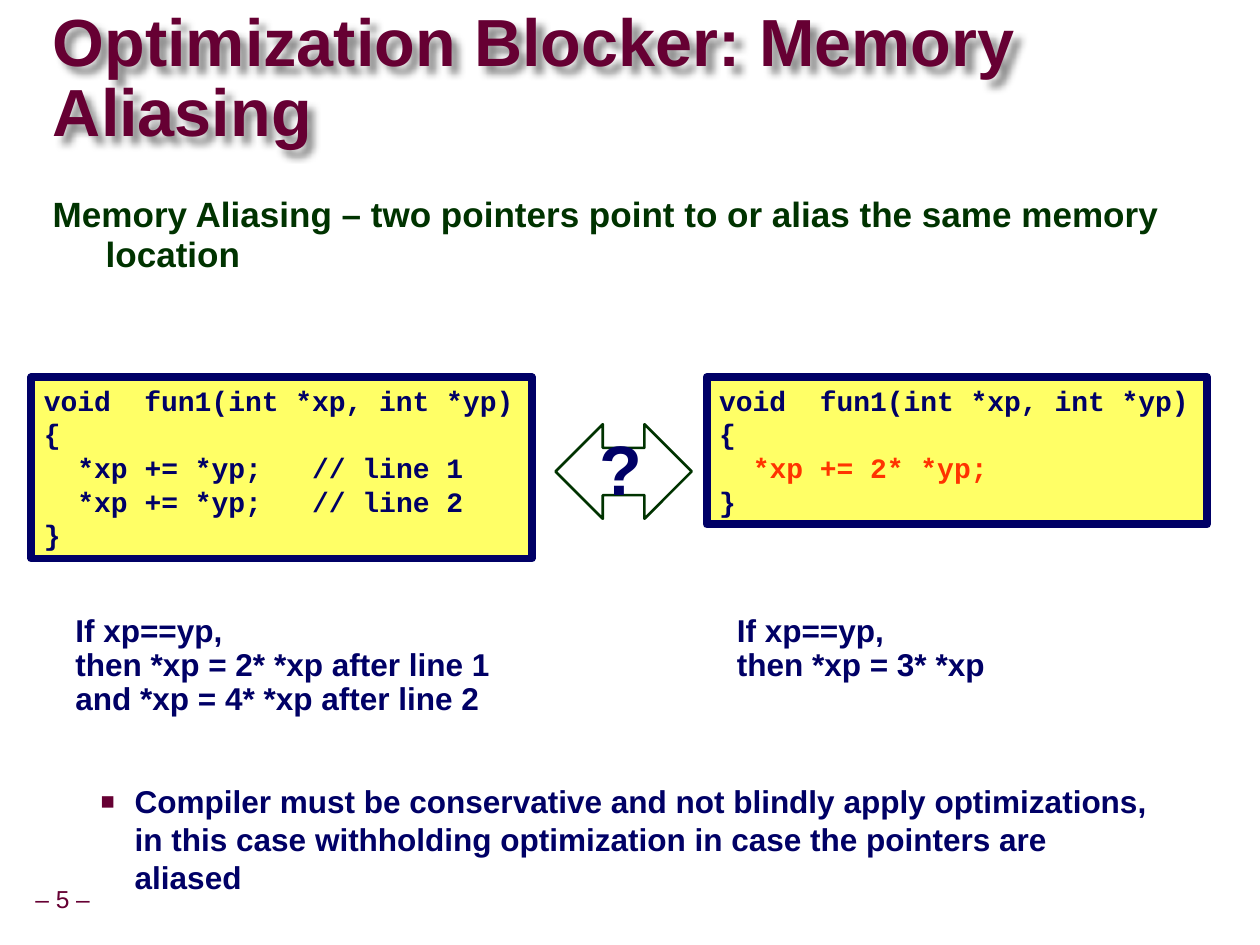
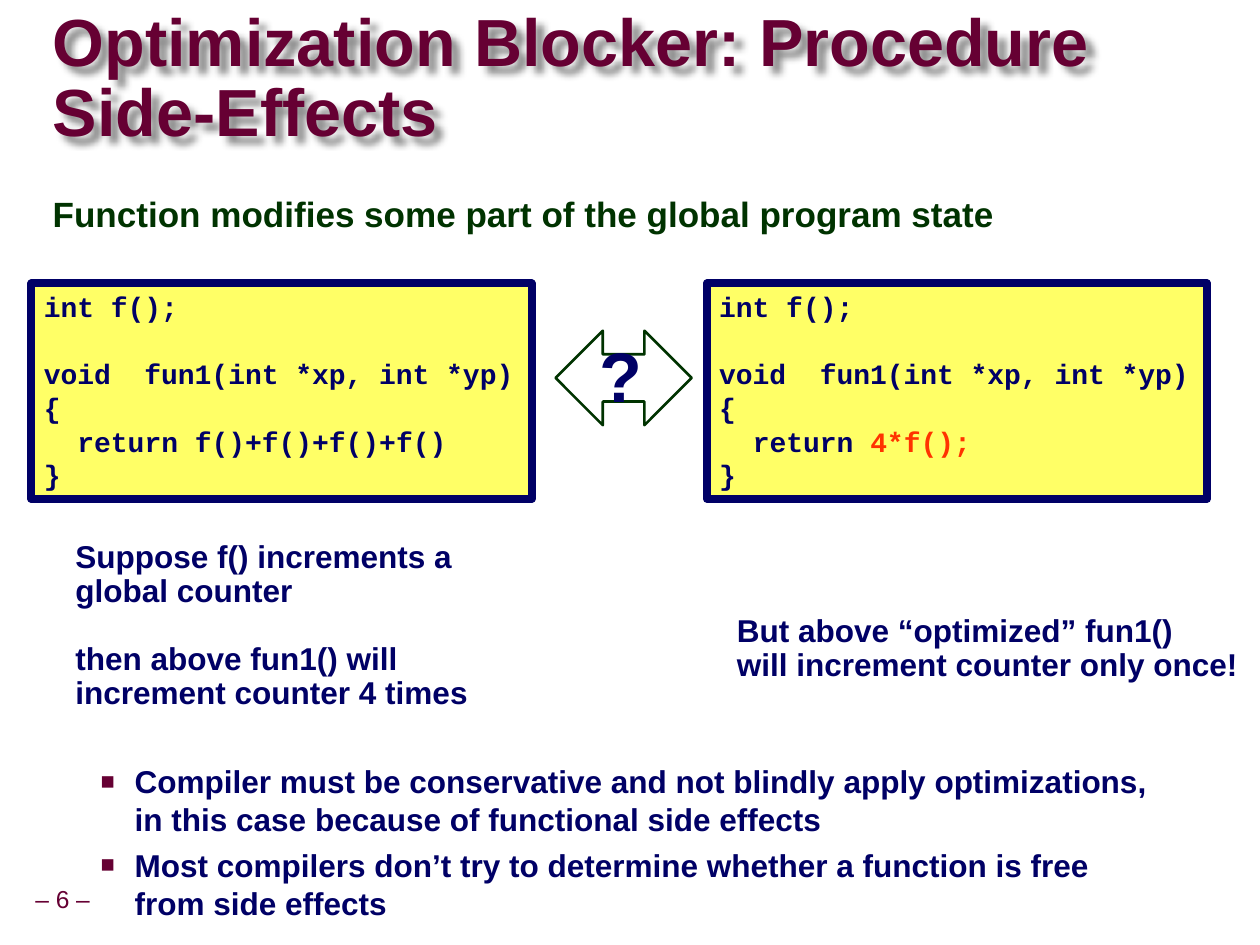
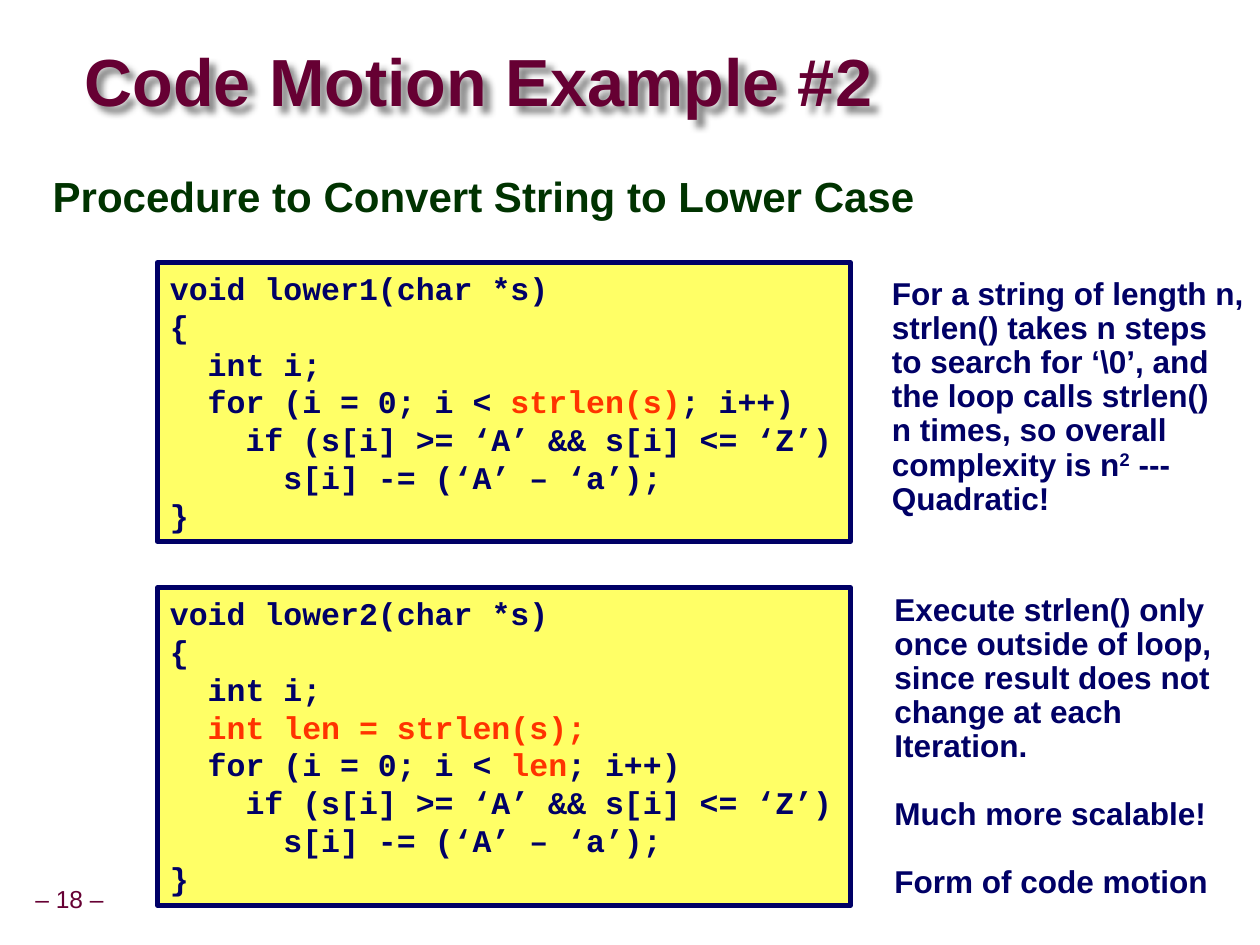
from lxml.etree import SubElement
from pptx import Presentation
from pptx.dml.color import RGBColor
from pptx.enum.shapes import MSO_SHAPE
from pptx.enum.text import MSO_ANCHOR, PP_ALIGN
from pptx.oxml import parse_xml
from pptx.oxml.ns import nsdecls, qn
from pptx.util import Inches, Pt

WIDE, HIGH = Inches(9.99), Inches(7.49)
PLUM = RGBColor(0x66, 0x00, 0x33)
GREEN = RGBColor(0x00, 0x33, 0x00)
NAVY = RGBColor(0x00, 0x00, 0x66)
CREAM = RGBColor(0xFF, 0xFF, 0x66)
RED = RGBColor(0xFF, 0x33, 0x00)

STYLES = {
    "title": dict(name="Arial", size=38, bold=True, color=PLUM),
    "head": dict(name="Arial", size=20, bold=True, color=GREEN),
    "code": dict(name="Courier New", size=16, bold=True, color=NAVY),
    "note": dict(name="Arial", size=18, bold=True, color=NAVY),
    "mark": dict(name="Arial", size=40, bold=True, color=NAVY),
    "foot": dict(name="Arial", size=14, bold=False, color=PLUM),
}
FRAME = dict(word_wrap=True, margin_left=Inches(0.1), margin_right=Inches(0.1),
             margin_top=Inches(0.05), margin_bottom=Inches(0.05),
             vertical_anchor=MSO_ANCHOR.TOP)
LEAD = 1.2
SHADOW = (f'<a:effectLst {nsdecls("a")}><a:outerShdw blurRad="50800" dist="63500" '
          'dir="2700000" algn="tl" rotWithShape="0"><a:srgbClr val="000000">'
          '<a:alpha val="45000"/></a:srgbClr></a:outerShdw></a:effectLst>')

LEFT, RIGHT, PANE = 2.5, 56.1, 39.7


def place(x, y, w, h):
    return [int(WIDE * x / 100), int(HIGH * y / 100),
            int(WIDE * w / 100), int(HIGH * h / 100)]


def apply(item, values):
    for key, value in values.items():
        setattr(item, key, value)


def style(run, look):
    values = dict(look)
    run.font.color.rgb = values.pop("color")
    values["size"] = Pt(values["size"])
    apply(run.font, values)


def indent(para, margin, hang=0):
    props = para._p.get_or_add_pPr()
    props.set("marL", str(int(margin)))
    props.set("indent", str(int(hang)))
    return props


def accent(run, look):
    if look["name"] == "Courier New":
        run.font.color.rgb = RED
    else:
        run._r.get_or_add_rPr().set("baseline", "30000")


def write(shape, text, look, spacing=1.0, align=PP_ALIGN.LEFT, **extra):
    frame = shape.text_frame
    apply(frame, {**FRAME, **extra})
    step = look["size"] * LEAD * spacing
    gap, paras = 0, []
    for line in text.split("\n"):
        if not line:
            gap += step
            continue
        para = frame.add_paragraph() if paras else frame.paragraphs[0]
        apply(para, dict(alignment=align, line_spacing=spacing, space_before=Pt(gap)))
        words = line.lstrip(" ")
        if len(words) < len(line):
            indent(para, Pt(0.6 * look["size"] * (len(line) - len(words))))
        for spot, part in enumerate(words.split("|")):
            if part:
                run = para.add_run()
                run.text = part
                style(run, look)
                if spot % 2:
                    accent(run, look)
        paras.append(para)
        gap = 0
    return paras


def label(slide, box, text, look, spacing=0.9, **extra):
    shape = slide.shapes.add_textbox(*place(*box))
    return shape, write(shape, text, look, spacing, **extra)


def title(slide, text, box=(4.2, 4.4, 93.3, 8.3)):
    flat = dict.fromkeys(("margin_left", "margin_right", "margin_top", "margin_bottom"), 0)
    shape, _ = label(slide, box, text, STYLES["title"], 0.87,
                     vertical_anchor=MSO_ANCHOR.MIDDLE, **flat)
    shape._element.spPr.append(parse_xml(SHADOW))


def head(slide, text, top=20, size=20):
    _, paras = label(slide, (3.2, top, 90.8, 8), text,
                     {**STYLES["head"], "size": size}, 0.95)
    indent(paras[0], Inches(0.42), -Inches(0.42))


def code(slide, box, text, size=16, edge=4.5):
    shape = slide.shapes.add_shape(MSO_SHAPE.RECTANGLE, *place(*box))
    shape.shadow.inherit = False
    shape.fill.solid()
    shape.fill.fore_color.rgb = CREAM
    shape.line.color.rgb = NAVY
    shape.line.width = Pt(edge)
    write(shape, text, {**STYLES["code"], "size": size})


def arrow(slide, top):
    shape = slide.shapes.add_shape(MSO_SHAPE.LEFT_RIGHT_ARROW,
                                   *place(44.1, top, 10.8, 10))
    shape.shadow.inherit = False
    shape.fill.background()
    shape.line.color.rgb = GREEN
    shape.line.width = Pt(1.5)
    label(slide, (46.6, top + 0.5, 5.4, 9.6), "?", STYLES["mark"],
          align=PP_ALIGN.CENTER)


def pair(slide, top, one, two):
    for left, (text, tall) in zip((LEFT, RIGHT), (one, two)):
        code(slide, (left, top, PANE, tall), text)
    arrow(slide, top + 5)


def note(slide, box, text):
    label(slide, box, text, STYLES["note"])


def points(slide, top, text):
    _, paras = label(slide, (1.6, top, 90.8, 13.4), text, STYLES["note"], 1.0)
    for spot, para in enumerate(paras):
        para.space_before = Pt(4.5 if spot else 0)
        props = indent(para, Inches(0.81), -Inches(0.27))
        tint = SubElement(props, qn("a:buClr"))
        SubElement(tint, qn("a:srgbClr")).set("val", str(PLUM))
        SubElement(props, qn("a:buSzPct")).set("val", "75000")
        SubElement(props, qn("a:buFont")).set("typeface", "Arial")
        SubElement(props, qn("a:buChar")).set("char", "■")


def start(deck, number):
    slide = deck.slides.add_slide(deck.slide_layouts[6])
    thin = dict.fromkeys(("margin_left", "margin_right"), Inches(0.05))
    label(slide, (2.3, 93.2, 6.8, 4.3), f"– {number} –", STYLES["foot"],
          vertical_anchor=MSO_ANCHOR.MIDDLE, **thin)
    return slide


def alias(deck):
    slide = start(deck, 5)
    title(slide, "Optimization Blocker: Memory Aliasing")
    head(slide, "Memory Aliasing – two pointers point to or alias the same memory location")
    top = "void  fun1(int *xp, int *yp)\n{\n"
    pair(slide, 39.9,
         (top + "  *xp += *yp;   // line 1\n  *xp += *yp;   // line 2\n}", 19.2),
         (top + "  |*xp += 2* *yp;|\n}", 15.6))
    note(slide, (5, 64.4, 35.1, 12.3),
         "If xp==yp,\nthen *xp = 2* *xp after line 1\nand *xp = 4* *xp after line 2")
    note(slide, (57.5, 64.4, 21.9, 8.7), "If xp==yp,\nthen *xp = 3* *xp")
    points(slide, 82.1,
           "Compiler must be conservative and not blindly apply optimizations, "
           "in this case withholding optimization in case the pointers are aliased")


def effects(deck):
    slide = start(deck, 6)
    title(slide, "Optimization Blocker: Procedure Side-Effects")
    head(slide, "Function modifies some part of the global program state")
    top = "int f();\n\nvoid  fun1(int *xp, int *yp)\n{\n  return "
    pair(slide, 30, (top + "f()+f()+f()+f()\n}", 22.8), (top + "|4*f();|\n}", 22.8))
    note(slide, (5, 56.6, 35.1, 19.6),
         "Suppose f() increments a global counter\n\n"
         "then above fun1() will increment counter 4 times")
    note(slide, (57.5, 64.4, 42.1, 8.7),
         "But above “optimized” fun1()\nwill increment counter only once!")
    points(slide, 80,
           "Compiler must be conservative and not blindly apply optimizations, "
           "in this case because of functional side effects\n"
           "Most compilers don’t try to determine whether a function is free "
           "from side effects")


def motion(deck):
    slide = start(deck, 18)
    title(slide, "Code Motion Example #2", (6.7, 4.9, 73.9, 8.3))
    head(slide, "Procedure to Convert String to Lower Case", 17.8, 24)
    loops = (
        (1, "", "strlen(s)", 27.8, 29.5),
        (2, "  |int len = strlen(s);|\n", "len", 62.2, 33.6),
    )
    for number, setup, limit, top, tall in loops:
        code(slide, (12.5, top, 55, tall),
             f"void lower{number}(char *s)\n{{\n  int i;\n{setup}"
             f"  for (i = 0; i < |{limit}|; i++)\n"
             "    if (s[i] >= ‘A’ && s[i] <= ‘Z’)\n"
             "      s[i] -= (‘A’ – ‘a’);\n}", 18, 3)
    note(slide, (69.8, 28.8, 30.2, 26.8),
         "For a string of length n,\nstrlen() takes n steps\n"
         "to search for ‘\\0’, and\nthe loop calls strlen()\n"
         "n times, so overall\ncomplexity is n|2| ---\nQuadratic!")
    note(slide, (70, 62.2, 27.4, 34),
         "Execute strlen() only\nonce outside of loop,\nsince result does not\n"
         "change at each\nIteration.\n\nMuch more scalable!\n\nForm of code motion")


def main():
    deck = Presentation()
    apply(deck, dict(slide_width=WIDE, slide_height=HIGH))
    for build in (alias, effects, motion):
        build(deck)
    deck.save("out.pptx")


if __name__ == "__main__":
    main()
